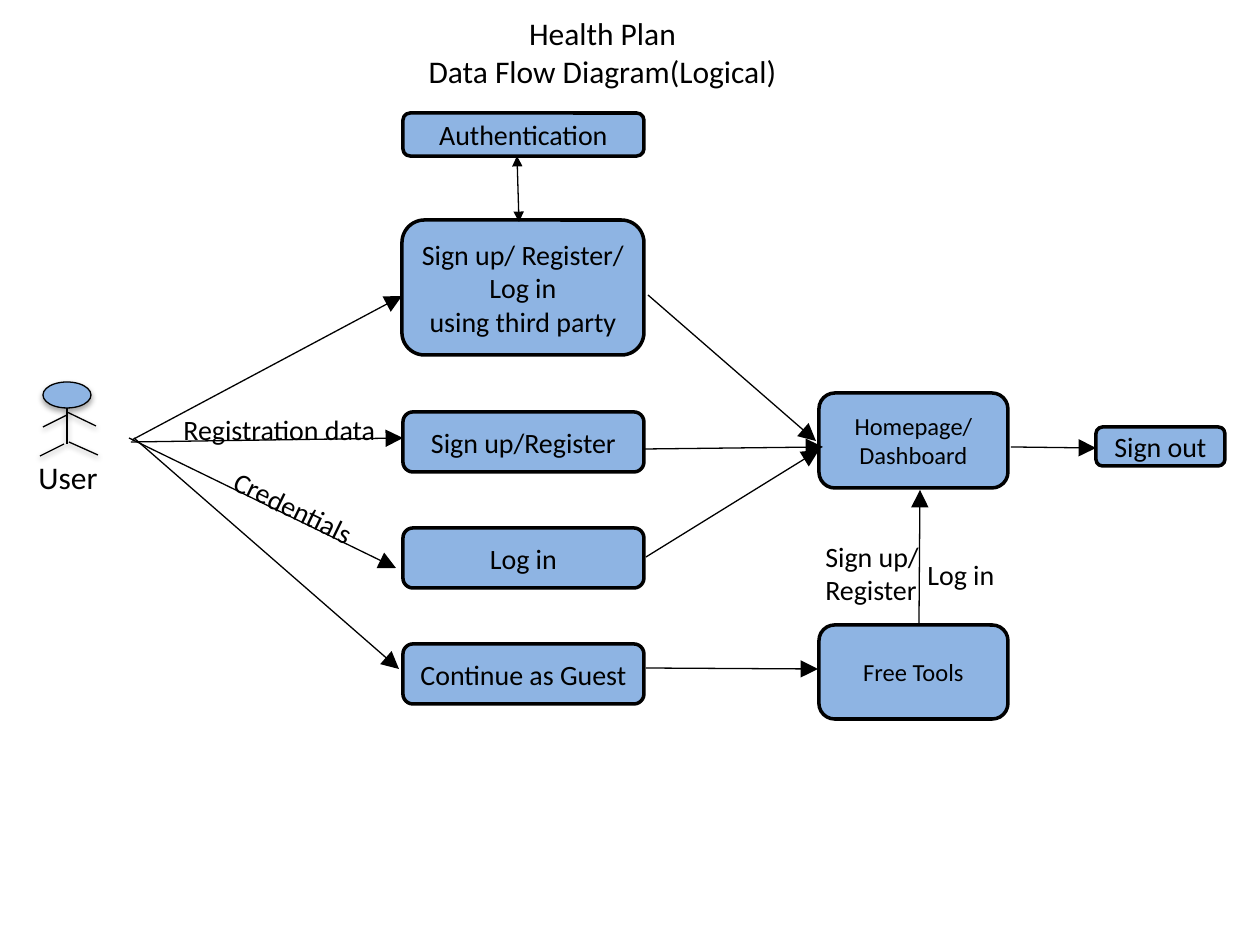
from lxml import etree
from pptx import Presentation, util as u
from pptx.dml.color import RGBColor
from pptx.enum import shapes, text
from pptx.oxml.ns import qn

BLUE = RGBColor(0x8E, 0xB4, 0xE3)
BLACK = RGBColor(0, 0, 0)
SCALE = 914400 / 126


def px(*vals):
    return [u.Emu(round(v * SCALE)) for v in vals]


class Board:
    """Style and current slide of the diagram."""
    font = {"name": "Calibri"}

    def __init__(self, deck):
        self.slide = deck.slides.add_slide(deck.slide_layouts[6])
        self.area = self.slide.shapes

    def fill_text(self, shape, words, size, align, **frame):
        body = shape.text_frame
        for key, val in frame.items():
            setattr(body, key, val)
        for i, line in enumerate(words.split("\n")):
            para = body.paragraphs[0] if i == 0 else body.add_paragraph()
            para.alignment = align
            run = para.add_run()
            run.text = line
            for key, val in {**self.font, "size": u.Pt(size)}.items():
                setattr(run.font, key, val)
            run.font.color.rgb = BLACK

    def pen(self, shape, width):
        shape.line.color.rgb = BLACK
        shape.line.width = u.Pt(width)

    def form(self, kind, box, width):
        shape = self.area.add_shape(kind, *px(*box))
        shape.shadow.inherit = False
        shape.fill.solid()
        shape.fill.fore_color.rgb = BLUE
        self.pen(shape, width)
        return shape

    def box(self, words, box, size=16):
        shape = self.form(shapes.MSO_SHAPE.ROUNDED_RECTANGLE, box, 2)
        self.fill_text(shape, words, size, text.PP_ALIGN.CENTER, word_wrap=False,
                       vertical_anchor=text.MSO_ANCHOR.MIDDLE)

    def label(self, words, box, size=16, center=False, turn=0):
        shape = self.area.add_textbox(*px(*box))
        shape.rotation = turn
        frame = {"word_wrap": True}
        if not center:
            frame["margin_right"] = 0
        align = text.PP_ALIGN.CENTER if center else text.PP_ALIGN.LEFT
        self.fill_text(shape, words, size, align, **frame)

    def line(self, ends, heads=(), size="lg"):
        line = self.area.add_connector(shapes.MSO_CONNECTOR.STRAIGHT, *px(*ends))
        self.pen(line, 0.75)
        props = line._element.spPr
        etree.SubElement(props, qn("a:effectLst"))
        for tag in heads:
            etree.SubElement(props.find(qn("a:ln")), qn("a:" + tag),
                             type="triangle", w=size, len=size)
        return line

    def shade(self, shape, alpha, dist):
        effect = shape._element.spPr.find(qn("a:effectLst"))
        cast = etree.SubElement(effect, qn("a:outerShdw"), blurRad="40000",
                                dist=str(u.Pt(dist)), dir="5400000", rotWithShape="0")
        color = etree.SubElement(cast, qn("a:srgbClr"), val=str(BLACK))
        etree.SubElement(color, qn("a:alpha"), val=str(alpha * 1000))


deck = Presentation()
deck.slide_width, deck.slide_height = px(1260, 945)
board = Board(deck)

# User figure
board.area = board.slide.shapes.add_group_shape().shapes
head = board.form(shapes.MSO_SHAPE.OVAL, (43, 382, 48, 26), 0.75)
board.shade(head, 35, 1.8)
for limb in [(67, 408, 67, 444), (67, 415, 43, 427), (64, 444, 40, 456),
             (67, 412, 96, 426), (69, 442, 98, 455)]:
    board.shade(board.line(limb), 38, 1.6)
board.label("User", (26, 452, 103, 50), 18)
board.area = board.slide.shapes

# Title
board.label("Health Plan\nData Flow Diagram(Logical)", (384, 8, 437, 89), 18, True)

# Entry steps
board.box("Authentication", (403, 113, 241, 43))
board.box("Sign up/ Register/\nLog in\nusing third party", (402, 220, 242, 135))
for i, step in enumerate(["Sign up/Register", "Log in", "Continue as Guest"]):
    board.box(step, (403, 412 + 116 * i, 241, 60))

# Destinations
board.box("Homepage/\nDashboard", (819, 393, 189, 95), 14)
board.box("Free Tools", (819, 625, 189, 94), 14)
board.box("Sign out", (1096, 427, 129, 39))

# Flows
for flow in [(132, 440, 402, 296), (131, 442, 403, 438), (129, 438, 396, 568),
             (134, 438, 399, 669), (648, 295, 816, 441), (645, 449, 823, 447),
             (646, 557, 819, 450), (646, 668, 818, 669), (919, 626, 920, 490),
             (1011, 447, 1096, 448)]:
    board.line(flow, ["tailEnd"])
board.line((517, 156, 519, 222), ["headEnd", "tailEnd"], "med")

# Flow labels
board.label("Registration data", (171, 406, 248, 47))
board.label("Credentials", (217, 485, 156, 47), turn=26)
board.label("Sign up/\nRegister", (813, 533, 127, 81))
board.label("Log in", (915, 551, 127, 47))

deck.save("out.pptx")
